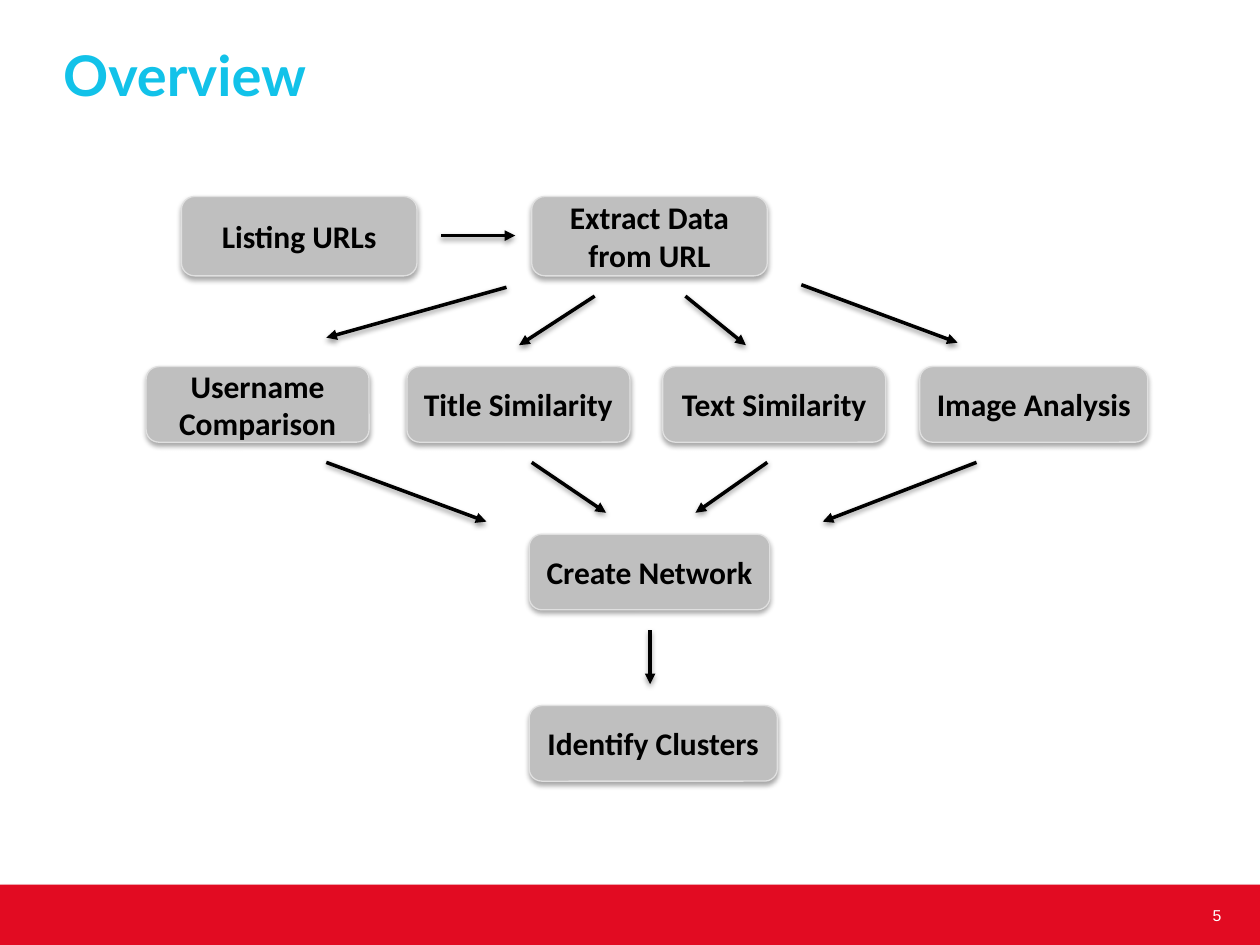
import pptx
import pptx.util
import pptx.dml.color
import pptx.enum.shapes
import pptx.enum.text
import pptx.oxml.ns
from lxml import etree

Inches, Pt = pptx.util.Inches, pptx.util.Pt
ALIGN = pptx.enum.text.PP_ALIGN
MIDDLE = pptx.enum.text.MSO_ANCHOR.MIDDLE
SHAPE = pptx.enum.shapes.MSO_SHAPE

COLOURS = {"title": "12C2E9", "band": "E20B22", "box": "BFBFBF",
           "edge": "E0E0E0", "ink": "000000", "page": "FFFFFF"}
WIDTH, HEIGHT = 10, 7.5
BAND_HEIGHT = 0.48

# Each row: top, height, then its boxes as (text, left, width)
ROWS = [
    (1.56, 0.63, [("Listing URLs", 1.44, 1.87),
                  ("Extract Data from URL", 4.22, 1.87)]),
    (2.91, 0.6, [("Username Comparison", 1.16, 1.77),
                 ("Title Similarity", 3.23, 1.77),
                 ("Text Similarity", 5.26, 1.77),
                 ("Image Analysis", 7.3, 1.81)]),
    (4.24, 0.6, [("Create Network", 4.2, 1.91)]),
    (5.6, 0.6, [("Identify Clusters", 4.2, 1.97)]),
]

# Each arrow: start x, start y, end x, end y
ARROWS = [
    (3.5, 1.87, 4.09, 1.87),
    (4.02, 2.28, 2.59, 2.68),
    (4.72, 2.35, 4.12, 2.74),
    (5.44, 2.35, 5.92, 2.74),
    (6.36, 2.26, 7.6, 2.72),
    (2.59, 3.67, 3.86, 4.14),
    (4.22, 3.67, 4.81, 4.07),
    (6.09, 3.67, 5.52, 4.07),
    (7.75, 3.67, 6.53, 4.14),
    (5.16, 5, 5.16, 5.43),
]


def rgb(name):
    return pptx.dml.color.RGBColor.from_string(COLOURS[name])


def add_child(parent, tag, **attributes):
    return etree.SubElement(parent, pptx.oxml.ns.qn(tag), attributes)


def add_shadow(shape, distance, opacity):
    """Give a soft shadow straight below; call after fill and line are set."""
    effects = add_child(shape._element.spPr, "a:effectLst")
    shadow = add_child(effects, "a:outerShdw", blurRad=str(Pt(3.1)),
                       dist=str(Pt(distance)), dir="5400000", rotWithShape="0")
    colour = add_child(shadow, "a:srgbClr", val=COLOURS["ink"])
    add_child(colour, "a:alpha", val=str(opacity * 1000))


def write(shape, text, font_name, size, colour, bold, alignment):
    frame = shape.text_frame
    frame.word_wrap = True
    frame.auto_size = pptx.enum.text.MSO_AUTO_SIZE.NONE
    frame.vertical_anchor = MIDDLE
    paragraph = frame.paragraphs[0]
    paragraph.alignment = alignment
    run = paragraph.add_run()
    run.text = text
    run.font.name = font_name
    run.font.size = Pt(size)
    run.font.bold = bold
    run.font.color.rgb = rgb(colour)


def add_filled(slide, kind, left, top, width, height, fill, edge=None):
    shape = slide.shapes.add_shape(kind, Inches(left), Inches(top),
                                   Inches(width), Inches(height))
    shape.fill.solid()
    shape.fill.fore_color.rgb = rgb(fill)
    if edge:
        shape.line.color.rgb = rgb(edge)
        shape.line.width = Pt(0.75)
    else:
        shape.line.fill.background()
    add_shadow(shape, 1.8, 35)
    return shape


def add_arrow(slide, *ends):
    arrow = slide.shapes.add_connector(pptx.enum.shapes.MSO_CONNECTOR.STRAIGHT,
                                       *(Inches(end) for end in ends))
    arrow.line.color.rgb = rgb("ink")
    arrow.line.width = Pt(2)
    add_child(arrow.line._get_or_add_ln(), "a:tailEnd", type="triangle")
    add_shadow(arrow, 1.6, 38)


def add_title(slide, text):
    title = slide.shapes.title
    title.left, title.top = Inches(0.5), Inches(0.32)
    title.width, title.height = Inches(9), Inches(0.53)
    frame = title.text_frame
    frame.margin_left = frame.margin_top = frame.margin_bottom = 0
    write(title, text, "Lato", 32, "title", True, ALIGN.LEFT)


def add_footer(slide, number):
    top = HEIGHT - BAND_HEIGHT
    add_filled(slide, SHAPE.RECTANGLE, 0, top, WIDTH, BAND_HEIGHT, "band")
    box = slide.shapes.add_textbox(Inches(9.41), Inches(top),
                                   Inches(0.5), Inches(BAND_HEIGHT))
    write(box, number, "Arial", 9, "page", False, ALIGN.CENTER)


def main():
    presentation = pptx.Presentation()
    presentation.slide_width = Inches(WIDTH)
    presentation.slide_height = Inches(HEIGHT)
    slide = presentation.slides.add_slide(presentation.slide_layouts[5])
    add_footer(slide, "5")
    add_title(slide, "Overview")
    for top, height, boxes in ROWS:
        for text, left, width in boxes:
            box = add_filled(slide, SHAPE.ROUNDED_RECTANGLE, left, top,
                             width, height, "box", "edge")
            write(box, text, "Calibri", 18, "ink", True, ALIGN.CENTER)
    for ends in ARROWS:
        add_arrow(slide, *ends)
    presentation.save("out.pptx")


if __name__ == "__main__":
    main()
